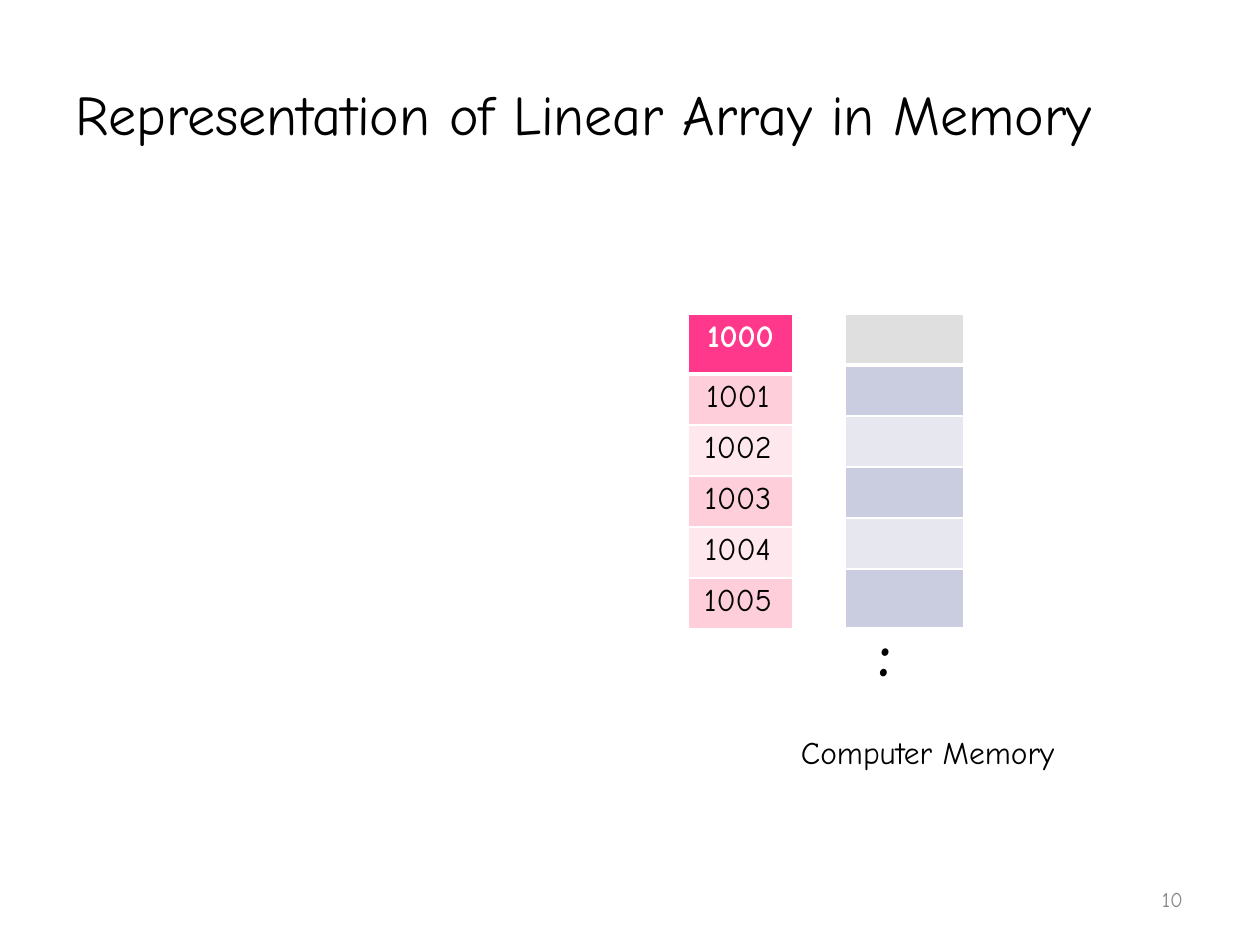
import pptx
import pptx.util
import pptx.dml.color
import pptx.enum.text
import pptx.oxml.ns
from lxml import etree

PX = 914400 / 126
FONT = "Comic Neue"
COLORS = {
    "black": "000000", "white": "FFFFFF", "gray": "888888",
    "pink": "FF388B", "pink mid": "FFCEDB", "pink pale": "FFE8ED",
    "silver": "DFDFDF", "blue mid": "CACDDF", "blue pale": "E7E8EF",
}

# text, (left, top, width, height), left inset, top inset, format
TEXTS = [
    ("Representation of Linear Array in Memory", (74, 78, 1113, 71), 2, 2,
     {"size": 32}),
    ("Computer Memory", (799, 731, 271, 42), 2, 2, {"size": 18}),
    (":", (877, 612, 32, 79), 2, 2, {"size": 36, "bold": True}),
    ("10", (1159, 883, 29, 33), 3, 4, {"size": 12, "color": "gray"}),
]

# left, top, column width, row heights, cell texts, colours of head and bands
TABLES = [
    {"place": (845, 314, 119), "rows": [51] * 5 + [59], "texts": [""] * 6,
     "fills": ("silver", "blue mid", "blue pale")},
    {"place": (688, 314, 105), "rows": [60] + [51] * 5,
     "texts": ["1000", "1001", "1002", "1003", "1004", "1005"],
     "fills": ("pink", "pink mid", "pink pale")},
]


def px(length):
    return pptx.util.Emu(round(length * PX))


def rgb(name):
    return pptx.dml.color.RGBColor.from_string(COLORS[name])


def style(font, size=18, color="black", bold=False):
    values = {"name": FONT, "size": pptx.util.Pt(size), "bold": bold}
    for key, value in values.items():
        setattr(font, key, value)
    font.color.rgb = rgb(color)


def set_margins(target, **margins):
    for side in ("left", "top", "right", "bottom"):
        setattr(target, f"margin_{side}", px(margins.get(side, 0)))


def add_text(page, text, place, left, top, form):
    box = page.shapes.add_textbox(*map(px, place))
    frame = box.text_frame
    frame.word_wrap = True
    set_margins(frame, left=left, top=top)
    span = frame.paragraphs[0].add_run()
    span.text = text
    style(span.font, **form)


def set_borders(cell, widths):
    """Draw white cell borders; widths maps L, R, T, B to points."""
    properties = cell._tc.get_or_add_tcPr()
    for index, (side, width) in enumerate(widths.items()):
        line = etree.Element(pptx.oxml.ns.qn(f"a:ln{side}"),
                             w=str(pptx.util.Pt(width)))
        fill = etree.SubElement(line, pptx.oxml.ns.qn("a:solidFill"))
        etree.SubElement(fill, pptx.oxml.ns.qn("a:srgbClr"),
                         val=COLORS["white"])
        properties.insert(index, line)


def add_memory_table(page, place, rows, texts, fills):
    left, top, width = place
    table = page.shapes.add_table(len(rows), 1, px(left), px(top),
                                  px(width), px(sum(rows))).table
    table.columns[0].width = px(width)
    head, *bands = fills
    for index, (height, text) in enumerate(zip(rows, texts)):
        table.rows[index].height = px(height)
        cell = table.cell(index, 0)
        is_head = index == 0
        set_margins(cell, top=5, right=0 if is_head else 5)
        cell.fill.solid()
        cell.fill.fore_color.rgb = rgb(head if is_head else bands[(index - 1) % 2])
        set_borders(cell, {"L": 1, "R": 1, "T": 3 if index == 1 else 1,
                           "B": 3 if is_head else 1})
        para = cell.text_frame.paragraphs[0]
        para.alignment = pptx.enum.text.PP_ALIGN.CENTER
        if text:
            span = para.add_run()
            span.text = text
            style(span.font, color="white" if is_head else "black", bold=is_head)


def main():
    deck = pptx.Presentation()
    deck.slide_width, deck.slide_height = px(1260), px(945)
    page = deck.slides.add_slide(deck.slide_layouts[6])
    for table in TABLES:
        add_memory_table(page, **table)
    for text in TEXTS:
        add_text(page, *text)
    deck.save("out.pptx")


if __name__ == "__main__":
    main()
